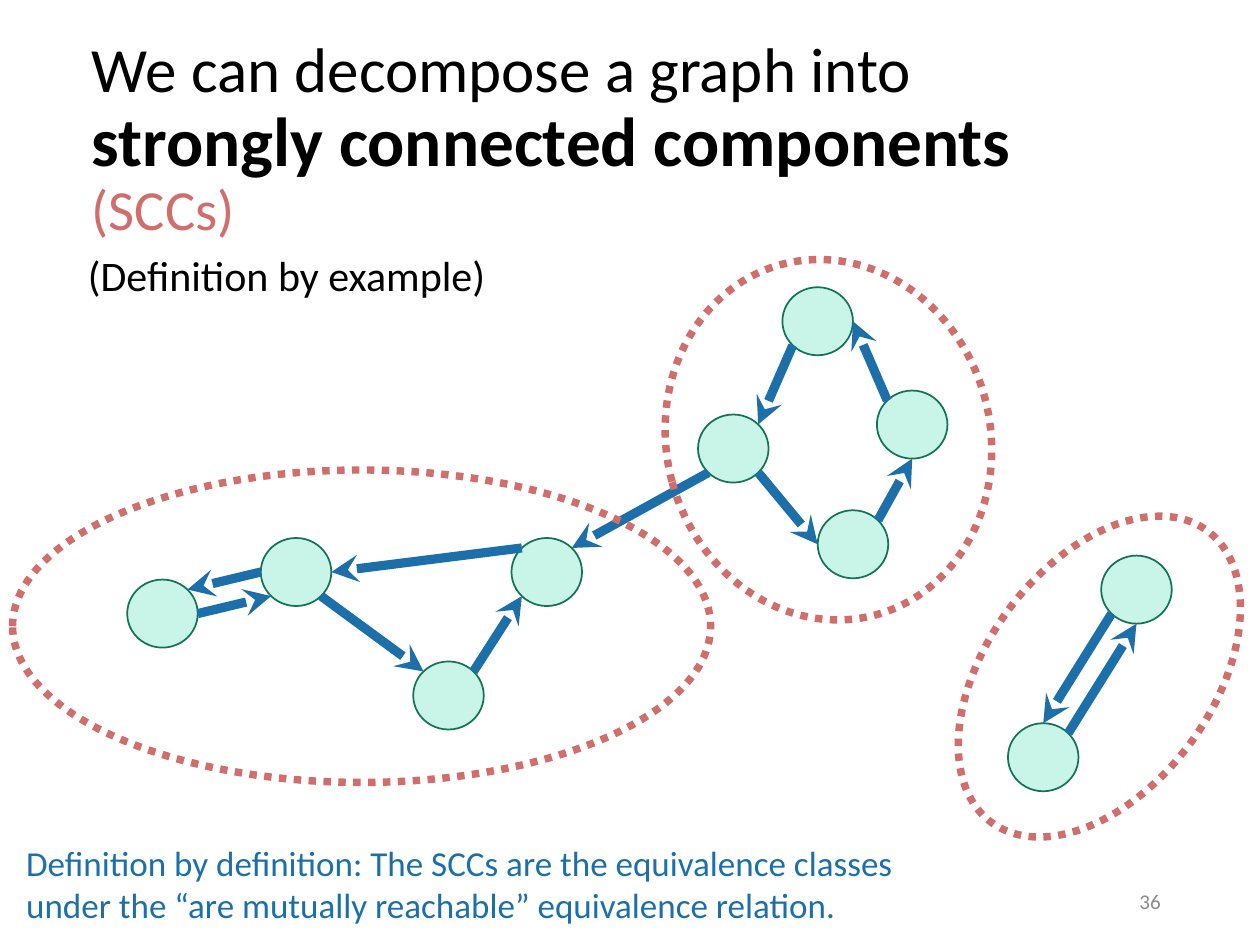
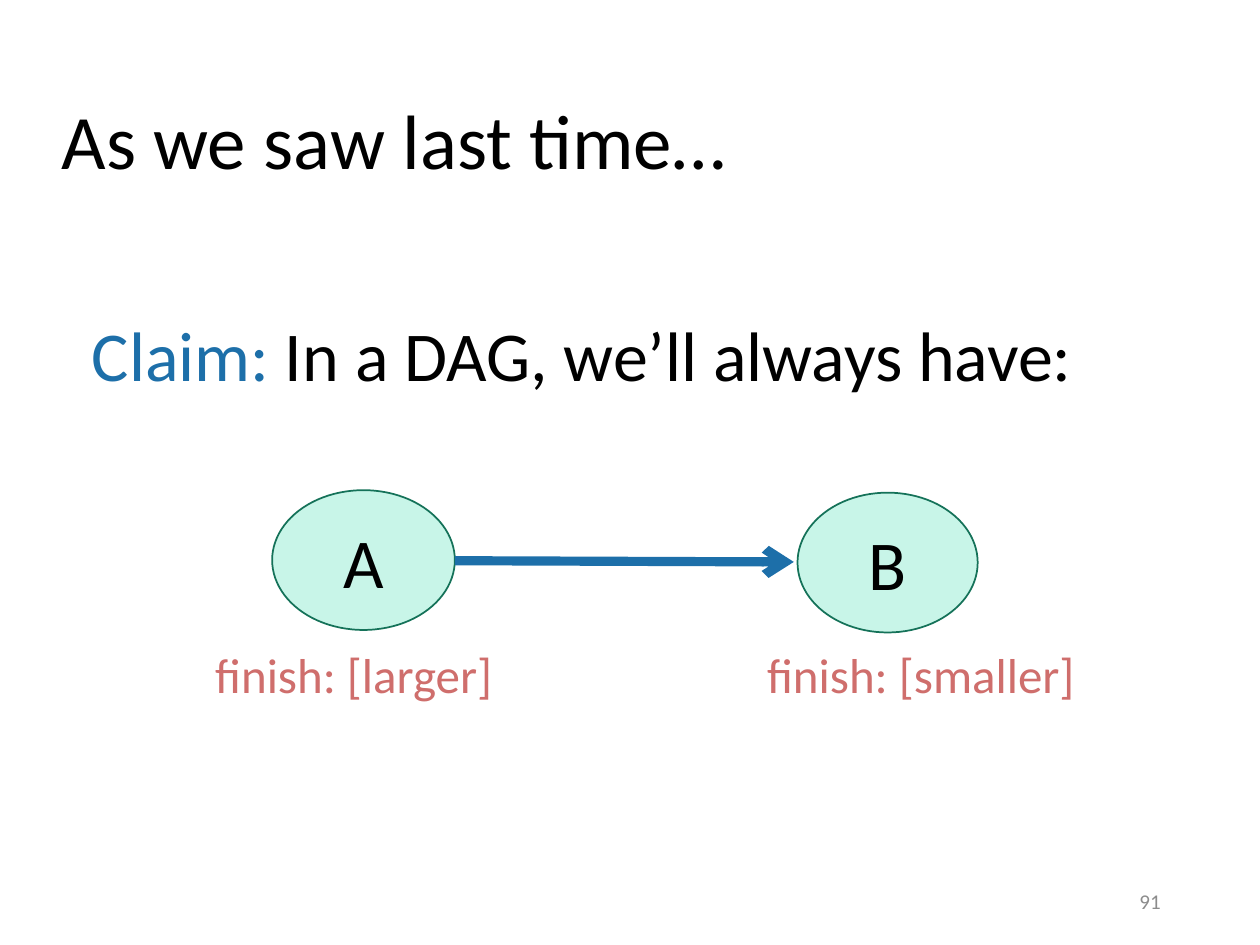
from lxml import etree
from pptx import Presentation
from pptx import util as u
from pptx.dml.color import RGBColor
from pptx.enum import dml, shapes, text
from pptx.oxml.ns import qn

THEME = {
    "font": "Calibri",
    "ink": RGBColor.from_string("000000"),
    "blue": RGBColor.from_string("1D6FA9"),
    "rose": RGBColor.from_string("CF6E6C"),
    "mint": RGBColor.from_string("C8F5E8"),
    "green": RGBColor.from_string("157259"),
    "grey": RGBColor.from_string("8C8C8C"),
    "edge": 5.25, "ring": 4.25, "outline": 1,
    "title": 44, "claim": 40, "label": 28, "caption": 24, "note": 20, "number": 12,
}
MIDDLE = text.MSO_ANCHOR.MIDDLE
RIGHT, CENTER = text.PP_ALIGN.RIGHT, text.PP_ALIGN.CENTER


def write(box, runs, anchor=text.MSO_ANCHOR.TOP, **paragraph_format):
    """Fill a shape with runs of (words, size, colour, bold); None breaks the line."""
    frame = box.text_frame
    frame.word_wrap = True
    frame.vertical_anchor = anchor
    paragraph = frame.paragraphs[0]
    for name, value in paragraph_format.items():
        setattr(paragraph, name, value)
    for part in runs:
        if part is None:
            paragraph.add_line_break()
            continue
        words, size, color, bold = part
        run = paragraph.add_run()
        run.text = words
        run.font.color.rgb = THEME[color]
        for name, value in {"name": THEME["font"], "size": u.Pt(size), "bold": bold}.items():
            setattr(run.font, name, value)


def draw_edge(slide, start, end, head):
    """Draw a directed edge between two points."""
    edge = slide.shapes.add_connector(
        shapes.MSO_CONNECTOR.STRAIGHT, *[u.Inches(v) for v in (*start, *end)])
    edge.line.color.rgb = THEME["blue"]
    edge.line.width = u.Pt(THEME["edge"])
    etree.SubElement(edge.line._get_or_add_ln(), qn("a:tailEnd"), type=head)
    etree.SubElement(edge._element.spPr, qn("a:effectLst"))


deck = Presentation()
deck.slide_width, deck.slide_height = u.Inches(10), u.Inches(7.5)
blank = deck.slide_layouts[6]
components, claim = [deck.slides.add_slide(blank) for _ in range(2)]

# Titles and slide numbers
titles = [
    (components, 0.63, 0.39, "36", [
        ("We can decompose a graph into", 36, "ink", False), None,
        ("strongly connected components ", 39.6, "ink", True),
        ("(SCCs)", 32.4, "rose", False)]),
    (claim, 0.39, 0.42, "91", [("As we saw last time…", THEME["title"], "ink", False)]),
]
for slide, left, top, number, title_runs in titles:
    title = slide.shapes.add_textbox(
        u.Inches(left), u.Inches(top), u.Inches(8.62), u.Inches(1.45))
    write(title, title_runs, MIDDLE, line_spacing=0.9)
    page = slide.shapes.add_textbox(
        u.Inches(7.06), u.Inches(6.95), u.Inches(2.25), u.Inches(0.4))
    write(page, [(number, THEME["number"], "grey", False)], MIDDLE, alignment=RIGHT)

# Graph nodes: (slide, left, top, width, height, letter)
node_w, node_h = 0.56, 0.54
graph = {
    "a": (1.01, 4.6), "b": (2.07, 4.27), "c": (3.28, 5.25), "d": (4.06, 4.27),
    "e": (5.54, 3.29), "f": (6.21, 2.28), "g": (6.49, 4.05), "h": (6.96, 3.1),
    "i": (8, 5.74), "j": (8.74, 4.41),
}
nodes = [(components, *corner, node_w, node_h, None) for corner in graph.values()]
nodes += [(claim, 2.16, 3.89, 1.45, 1.11, "A"), (claim, 6.33, 3.91, 1.43, 1.11, "B")]
for slide, *bounds, letter in nodes:
    node = slide.shapes.add_shape(shapes.MSO_SHAPE.OVAL, *[u.Inches(v) for v in bounds])
    node.shadow.inherit = False
    node.fill.solid()
    node.fill.fore_color.rgb = THEME["mint"]
    node.line.color.rgb = THEME["green"]
    node.line.width = u.Pt(THEME["outline"])
    if letter:
        write(node, [(letter, THEME["claim"], "ink", False)], MIDDLE, alignment=CENTER)

# Edges join the compass points of two nodes
diagonal = 0.5 ** 0.5
compass = {
    "N": (0, -1), "S": (0, 1), "E": (1, 0), "W": (-1, 0),
    "NE": (diagonal, -diagonal), "NW": (-diagonal, -diagonal),
    "SE": (diagonal, diagonal), "SW": (-diagonal, diagonal),
}
edges = [
    ("a", "E", "b", "SW"), ("b", "SE", "c", "NW"), ("c", "NE", "d", "SW"),
    ("d", "NW", "b", "E"), ("b", "W", "a", "NE"),
    ("e", "SE", "g", "W"), ("g", "NE", "h", "S"), ("h", "NW", "f", "E"),
    ("f", "SW", "e", "NE"), ("e", "SW", "d", "NE"),
    ("i", "NE", "j", "S"), ("j", "SW", "i", "N"),
]
for source, source_side, target, target_side in edges:
    ends = []
    for name, side in ((source, source_side), (target, target_side)):
        left, top = graph[name]
        dx, dy = compass[side]
        ends.append((left + node_w / 2 * (1 + dx), top + node_h / 2 * (1 + dy)))
    draw_edge(components, *ends, "stealth")
draw_edge(claim, (3.61, 4.45), (6.3, 4.46), "arrow")

# Dotted rings around the components
rings = [
    (0.1, 3.73, 5.54, 2.48, 0),
    (5.29, 2.05, 2.57, 2.88, 345),
    (7.83, 3.93, 1.79, 2.88, 36.6),
]
for *bounds, angle in rings:
    ring = components.shapes.add_shape(
        shapes.MSO_SHAPE.OVAL, *[u.Inches(v) for v in bounds])
    ring.rotation = angle
    ring.shadow.inherit = False
    ring.fill.background()
    ring.line.color.rgb = THEME["rose"]
    ring.line.width = u.Pt(THEME["ring"])
    ring.line.dash_style = dml.MSO_LINE.ROUND_DOT

# Captions and labels
captions = [
    (components, 0.6, 1.93, 4.47, 0.5,
     [("(Definition by example)", THEME["caption"], "ink", False)]),
    (components, 0.11, 6.63, 7.46, 0.77,
     [("Definition by definition: The SCCs are the equivalence classes under the "
       "“are mutually reachable” equivalence relation.", THEME["note"], "blue", False)]),
    (claim, 0.63, 2.42, 10.02, 2.12,
     [("Claim:", THEME["claim"], "blue", False),
      (" In a DAG, we’ll always have:", THEME["claim"], "ink", False)]),
    (claim, 5.99, 5.07, 2.96, 0.57,
     [("finish: [smaller]", THEME["label"], "rose", False)]),
    (claim, 1.61, 5.07, 2.87, 0.57,
     [("finish: [larger]", THEME["label"], "rose", False)]),
]
for slide, *bounds, caption_runs in captions:
    caption = slide.shapes.add_textbox(*[u.Inches(v) for v in bounds])
    write(caption, caption_runs)

deck.save("out.pptx")
